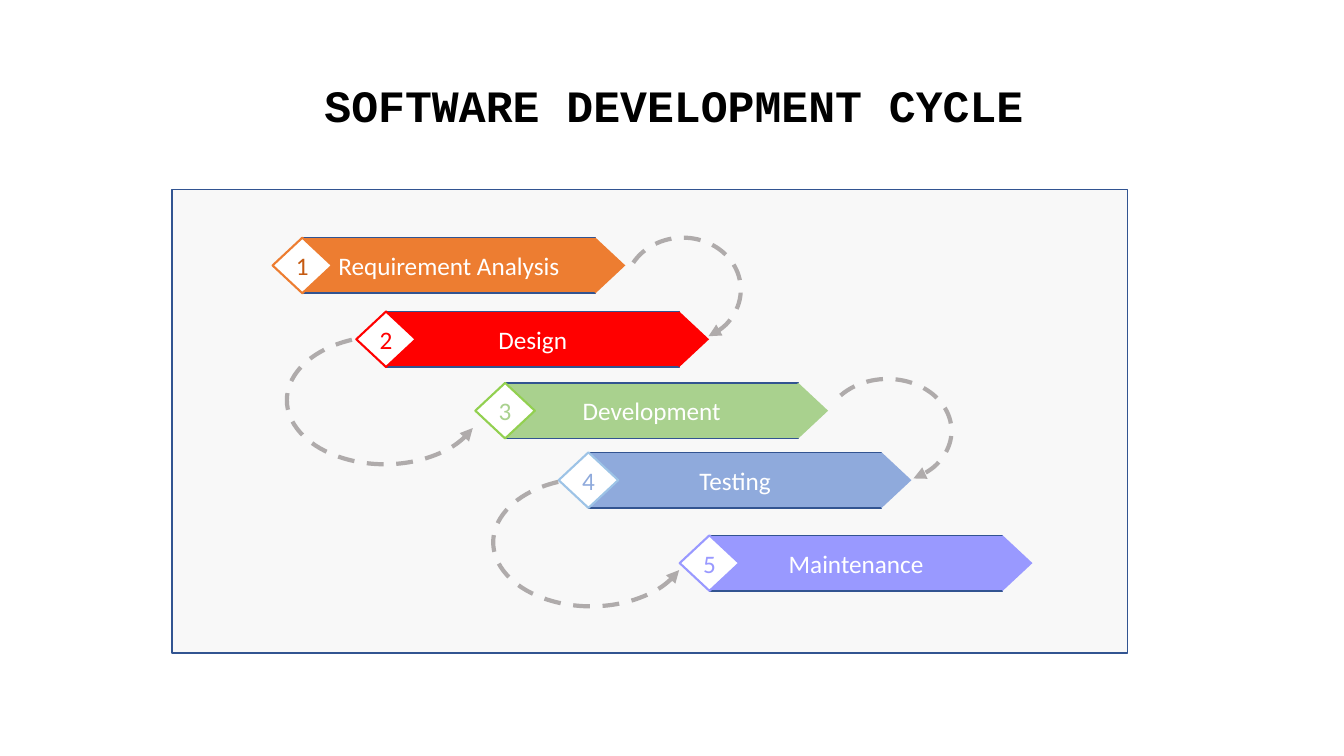
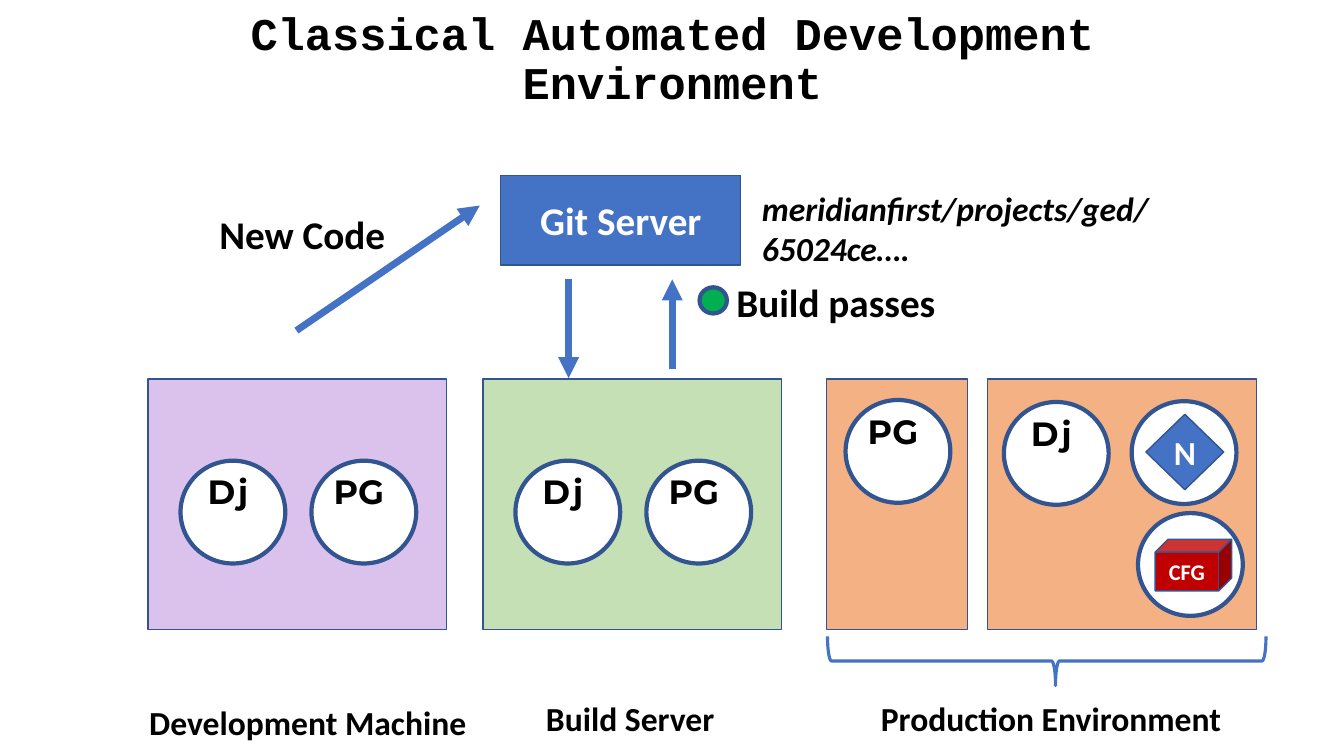
import lxml.etree
import pptx
import pptx.dml.color
import pptx.enum.dml
import pptx.enum.shapes
import pptx.enum.text
import pptx.oxml.ns
import pptx.util
from dataclasses import dataclass

Cm = pptx.util.Cm
Pt = pptx.util.Pt
Kind = pptx.enum.shapes.MSO_SHAPE
Anchor = pptx.enum.text.MSO_ANCHOR
Align = pptx.enum.text.PP_ALIGN
qn = pptx.oxml.ns.qn


@dataclass(frozen=True)
class Theme:
    white: str = "FFFFFF"
    black: str = "000000"
    outline: str = "325491"
    blue: str = "4472C4"
    panel: str = "F2F2F2"
    loop: str = "AFABAB"
    green: str = "00B050"
    red: str = "C00000"
    lilac: str = "DAC2EC"
    mint: str = "C5E0B4"
    peach: str = "F4B183"
    title_font: str = "Courier New"
    body_font: str = "Calibri"
    badge_font: str = "Montserrat"
    step_size: float = 18
    label_size: float = 24
    large_size: float = 28
    small_size: float = 16
    thin: float = 1
    thick: float = 3


THEME = Theme()

# Content: lengths are in centimetres, boxes are left, top, width, height
CYCLE_TITLE = ("SOFTWARE DEVELOPMENT CYCLE", (2.39, 1.14, 29.21, 3.18), 32)
CYCLE_PANEL = (4.34, 4.78, 24.08, 11.68)
BAR_WIDTH, BAR_HEIGHT, DIAMOND_WIDTH = 7.39, 1.4, 1.5
STEPS = [  # name, left, top, bar colour, diamond outline, number colour
    ("Requirement Analysis", 7.62, 5.99, "ED7D31", "ED7D31", "C55A11"),
    ("Design", 9.73, 7.85, "FF0000", "FF0000", "FF0000"),
    ("Development", 12.73, 9.65, "A9D18E", "92D050", "A9D18E"),
    ("Testing", 14.83, 11.4, "8FAADC", "9DC3E6", "8FAADC"),
    ("Maintenance", 17.88, 13.49, "9999FF", "9999FF", "9999FF"),
]
LOOPS = [  # box, start and end angle, whether it turns back on the left
    ((15.75, 5.99, 2.92, 2.62), (208.49, 61.25), False),
    ((20.75, 9.55, 3.23, 2.62), (217.12, 61.25), False),
    ((8.08, 7.62, 3.23, 4.93), (208.49, 72.48), True),
    ((13.28, 11.2, 3.23, 4.93), (208.49, 72.48), True),
]

ENVIRONMENT_TITLE = ("Classical Automated Development Environment",
                     (2.34, 0.18, 29.21, 2.69), 32.4)
MACHINE_TOP, MACHINE_HEIGHT = 9.55, 6.32
CIRCLE_WIDTH, CIRCLE_HEIGHT = 2.64, 2.59
SERVICE_PAIR = [("Dj", 0.82, 2.06), ("PG", 4.12, 2.06)]
MACHINES = [  # left, width, colour, services with offsets inside the machine
    (3.73, 7.52, THEME.lilac, SERVICE_PAIR),
    (12.17, 7.52, THEME.mint, SERVICE_PAIR),
    (20.83, 3.56, THEME.peach, [("PG", 0.48, 0.53)]),
    (24.89, 6.78, THEME.peach,
     [("Dj", 0.41, 0.58), ("N", 3.63, 0.56), ("CFG", 3.79, 3.38)]),
]
ICONS = {  # shape, box inside its circle, colour, type size
    "N": (Kind.DIAMOND, (0.36, 0.33, 1.96, 1.9), THEME.blue, THEME.label_size),
    "CFG": (Kind.CUBE, (0.43, 0.66, 1.93, 1.3), THEME.red, THEME.small_size),
}
GIT_SERVER = ("Git Server", (12.62, 4.42, 6.05, 2.26))
BUILD_LIGHT = (17.63, 7.24, 0.69, 0.66)
PRODUCTION_BRACE = (25.76, 11.13, 1.24, 11.05)
LABELS = [  # text, left, top, width, type size, italic
    ("Development Machine", 3.51, 17.55, 8.59, THEME.label_size, False),
    ("Build Server", 13.51, 17.45, 4.8, THEME.label_size, False),
    ("Production Environment", 21.95, 17.45, 9.37, THEME.label_size, False),
    ("Build passes", 18.31, 6.88, 5.59, THEME.large_size, False),
    ("New Code", 5.28, 5.18, 4.75, THEME.large_size, False),
    ("meridianfirst/projects/ged/65024ce….", 18.95, 4.6, 13.69,
     THEME.label_size, True),
]
ARROWS = [  # from x, y, to x, y
    (14.33, 7.04, 14.33, 9.53),
    (16.94, 9.3, 16.94, 7.04),
    (7.47, 8.33, 12.09, 5.18),
]


# Shared helpers
def rgb(code):
    return pptx.dml.color.RGBColor.from_string(code)


def lengths(box):
    return [Cm(value) for value in box]


def write(frame, text, size, color, font=THEME.body_font, bold=False,
          italic=False, align=Align.CENTER):
    paragraph = frame.paragraphs[0]
    paragraph.text = text
    paragraph.alignment = align
    style = paragraph.font
    style.name, style.size, style.bold, style.italic = font, Pt(size), bold, italic
    style.color.rgb = rgb(color)
    return paragraph


def draw(slide, kind, box, fill=None, line=None, weight=THEME.thin):
    shape = slide.shapes.add_shape(kind, *lengths(box))
    shape.shadow.inherit = False
    if fill:
        shape.fill.solid()
        shape.fill.fore_color.rgb = rgb(fill)
    else:
        shape.fill.background()
    if line:
        shape.line.color.rgb = rgb(line)
        shape.line.width = Pt(weight)
    else:
        shape.line.fill.background()
    frame = shape.text_frame
    frame.word_wrap = True
    frame.vertical_anchor = Anchor.MIDDLE
    frame.margin_left = frame.margin_right = 0
    frame.margin_top = frame.margin_bottom = 0
    return shape


def add_arrowhead(shape):
    outline = shape._element.spPr.find(qn("a:ln"))
    lxml.etree.SubElement(outline, qn("a:tailEnd"), type="triangle")


def add_titled_slide(deck, title):
    text, box, size = title
    slide = deck.slides.add_slide(deck.slide_layouts[5])
    heading = slide.shapes.title
    heading.left, heading.top, heading.width, heading.height = lengths(box)
    frame = heading.text_frame
    frame.word_wrap = True
    frame.auto_size = pptx.enum.text.MSO_AUTO_SIZE.NONE
    frame.vertical_anchor = Anchor.MIDDLE
    write(frame, text, size, THEME.black, THEME.title_font,
          bold=True).line_spacing = 0.9
    return slide


# Software development cycle
def add_step(slide, number, step):
    name, left, top, color, edge, number_color = step
    half = DIAMOND_WIDTH / 2
    bar = draw(slide, Kind.RECTANGLE, (left, top, BAR_WIDTH, BAR_HEIGHT),
               color, THEME.outline)
    write(bar.text_frame, name, THEME.step_size, THEME.white)
    marker = draw(slide, Kind.DIAMOND,
                  (left - half, top, DIAMOND_WIDTH, BAR_HEIGHT),
                  THEME.white, edge, 1.5)
    write(marker.text_frame, str(number), THEME.step_size, number_color)
    draw(slide, Kind.DIAMOND,
         (left + BAR_WIDTH - half, top, DIAMOND_WIDTH, BAR_HEIGHT), color)


def add_loop(slide, box, angles, turns_back):
    loop = draw(slide, Kind.ARC, box, line=THEME.loop, weight=THEME.thick)
    for index, degrees in enumerate(angles):
        loop.adjustments[index] = degrees * 0.6  # 60000ths of a degree / 100000
    loop.line.dash_style = pptx.enum.dml.MSO_LINE.DASH
    add_arrowhead(loop)
    if turns_back:
        loop.rotation = 270
        loop._element.spPr.find(qn("a:xfrm")).set("flipH", "1")


def build_cycle(deck):
    slide = add_titled_slide(deck, CYCLE_TITLE)
    panel = draw(slide, Kind.RECTANGLE, CYCLE_PANEL, THEME.panel, THEME.outline)
    panel_color = panel._element.spPr.find(qn("a:solidFill"))[0]
    lxml.etree.SubElement(panel_color, qn("a:alpha"), val="50000")
    for number, step in enumerate(STEPS, 1):
        add_step(slide, number, step)
    for loop in LOOPS:
        add_loop(slide, *loop)


# Automated development environment
def add_service(slide, name, left, top):
    circle = draw(slide, Kind.OVAL, (left, top, CIRCLE_WIDTH, CIRCLE_HEIGHT),
                  THEME.white, THEME.outline, THEME.thick)
    if name in ICONS:
        kind, (dx, dy, width, height), color, size = ICONS[name]
        icon = draw(slide, kind, (left + dx, top + dy, width, height),
                    color, THEME.outline)
        write(icon.text_frame, name, size, THEME.white, bold=True)
    else:
        frame = circle.text_frame
        frame.vertical_anchor = Anchor.TOP
        frame.margin_right = Cm(0.25)
        write(frame, name, THEME.label_size, THEME.black, THEME.badge_font,
              bold=True).line_spacing = 0.9


def add_label(slide, text, left, top, width, size, italic):
    height = 1.27 if size == THEME.label_size else 1.45
    label = slide.shapes.add_textbox(*lengths((left, top, width, height)))
    label.text_frame.word_wrap = False
    label.text_frame.auto_size = pptx.enum.text.MSO_AUTO_SIZE.SHAPE_TO_FIT_TEXT
    write(label.text_frame, text, size, THEME.black, bold=True, italic=italic,
          align=Align.LEFT)


def add_arrow(slide, ends):
    arrow = slide.shapes.add_connector(
        pptx.enum.shapes.MSO_CONNECTOR.STRAIGHT, *lengths(ends))
    arrow.line.color.rgb = rgb(THEME.blue)
    arrow.line.width = Pt(5)
    add_arrowhead(arrow)
    lxml.etree.SubElement(arrow._element.spPr, qn("a:effectLst"))


def build_environment(deck):
    slide = add_titled_slide(deck, ENVIRONMENT_TITLE)
    for left, width, color, services in MACHINES:
        draw(slide, Kind.RECTANGLE, (left, MACHINE_TOP, width, MACHINE_HEIGHT),
             color, THEME.outline)
        for name, dx, dy in services:
            add_service(slide, name, left + dx, MACHINE_TOP + dy)

    name, box = GIT_SERVER
    git_server = draw(slide, Kind.RECTANGLE, box, THEME.blue, THEME.outline)
    write(git_server.text_frame, name, THEME.large_size, THEME.white, bold=True)
    draw(slide, Kind.FLOWCHART_CONNECTOR, BUILD_LIGHT, THEME.green,
         THEME.outline, THEME.thick)

    brace = draw(slide, Kind.LEFT_BRACE, PRODUCTION_BRACE, line=THEME.blue,
                 weight=2.25)
    brace.adjustments[0], brace.adjustments[1] = 0.08, 0.52
    brace.rotation = 270

    for label in LABELS:
        add_label(slide, *label)
    for ends in ARROWS:
        add_arrow(slide, ends)


deck = pptx.Presentation()
deck.slide_width, deck.slide_height = Cm(33.87), Cm(19.05)
build_cycle(deck)
build_environment(deck)
deck.save("out.pptx")
